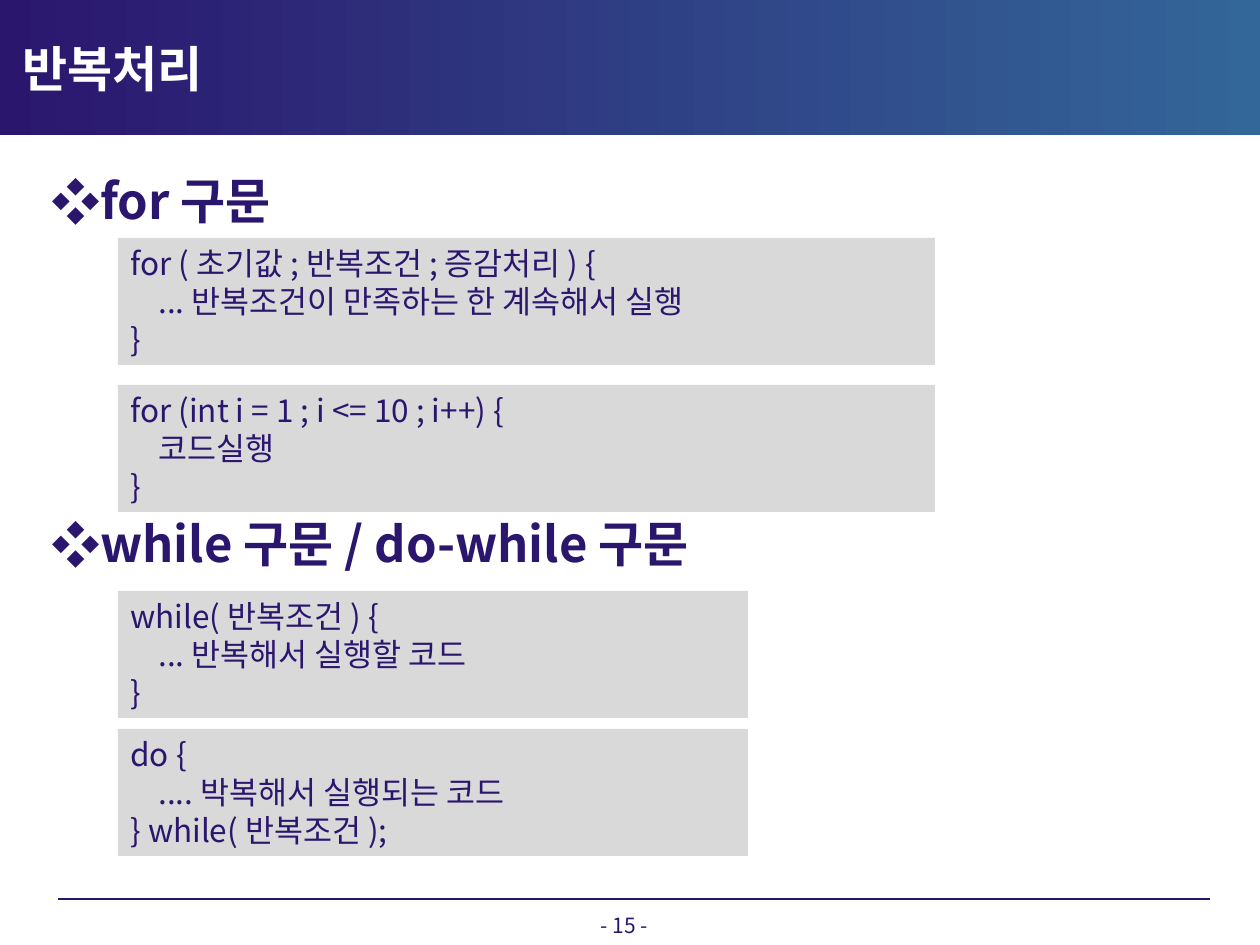
"""Build the slide that explains the loop statements."""
from typing import NamedTuple

from lxml import etree
from pptx import Presentation
from pptx.dml.color import RGBColor
from pptx.enum.shapes import MSO_CONNECTOR, MSO_SHAPE
from pptx.enum.text import MSO_ANCHOR, PP_ALIGN
from pptx.oxml.ns import qn
from pptx.util import Emu, Pt

RECTANGLE = MSO_SHAPE.RECTANGLE
STRAIGHT = MSO_CONNECTOR.STRAIGHT
TOP, MIDDLE = MSO_ANCHOR.TOP, MSO_ANCHOR.MIDDLE
LEFT, CENTER = PP_ALIGN.LEFT, PP_ALIGN.CENTER

PX_PER_INCH = 126
FONT = "Noto Sans CJK KR"
NAVY, BLUE, GRAY, WHITE = "2B166E", "336699", "D9D9D9", "FFFFFF"
BULLET_INDENT = 48
CODE_INDENT = 28
CODE_LEFT, CODE_HEIGHT = 118, 127


class Label(NamedTuple):
    text: str
    left: int
    top: int
    width: int
    height: int
    size: int
    color: str = NAVY
    bold: bool = False
    align: PP_ALIGN = LEFT
    anchor: MSO_ANCHOR = TOP
    bullet: str = ""


class CodeBlock(NamedTuple):
    top: int
    width: int
    opening: str
    body: str
    closing: str = "}"


LABELS = [
    Label("반복처리", 10, 29, 945, 78, 28, WHITE, True, anchor=MIDDLE),
    Label("for 구문", 39, 164, 1172, 72, 28, bold=True, bullet="❖"),
    Label("while 구문 / do-while 구문", 39, 507, 1172, 72, 28, bold=True, bullet="❖"),
    Label("- 15 -", 501, 906, 247, 28, 12, align=CENTER),
]

CODE_BLOCKS = [
    CodeBlock(238, 817, "for ( 초기값 ; 반복조건 ; 증감처리 ) {",
              "... 반복조건이 만족하는 한 계속해서 실행"),
    CodeBlock(385, 817, "for (int i = 1 ; i <= 10 ; i++) {", "코드실행"),
    CodeBlock(591, 630, "while( 반복조건 ) {", "... 반복해서 실행할 코드"),
    CodeBlock(729, 630, "do {", ".... 박복해서 실행되는 코드", "} while( 반복조건 );"),
]


def px(length: int) -> Emu:
    return Emu(round(length * 914400 / PX_PER_INCH))


def rgb(color: str) -> RGBColor:
    return RGBColor.from_string(color)


def style_para(para, size: int, color: str, bold: bool, align: PP_ALIGN) -> None:
    para.alignment = align
    for span in para.runs:
        span.font.size = Pt(size)
        span.font.bold = bold
        span.font.color.rgb = rgb(color)
        span.font.name = FONT
        etree.SubElement(span._r.get_or_add_rPr(), qn("a:ea"), typeface=FONT)


def indent_para(para, margin: int, first_line: int = 0) -> None:
    properties = para._p.get_or_add_pPr()
    properties.set("marL", str(px(margin)))
    properties.set("indent", str(px(first_line)))


def add_bullet(para, bullet: str, color: str) -> None:
    indent_para(para, BULLET_INDENT, -BULLET_INDENT)
    properties = para._p.get_or_add_pPr()
    bullet_color = etree.SubElement(properties, qn("a:buClr"))
    etree.SubElement(bullet_color, qn("a:srgbClr"), val=color)
    etree.SubElement(properties, qn("a:buFont"), typeface=FONT)
    etree.SubElement(properties, qn("a:buChar"), char=bullet)


def add_rectangle(page, left: int, top: int, width: int, height: int):
    box = page.shapes.add_shape(RECTANGLE, px(left), px(top), px(width), px(height))
    box.shadow.inherit = False
    box.line.fill.background()
    return box


def draw_banner(page) -> None:
    banner = add_rectangle(page, 0, 0, 1260, 135)
    banner.fill.gradient()
    banner.fill.gradient_angle = 0
    for stop, color in zip(banner.fill.gradient_stops, (NAVY, BLUE)):
        stop.color.rgb = rgb(color)


def draw_footer_line(page) -> None:
    line = page.shapes.add_connector(STRAIGHT, px(58), px(899), px(1210), px(899))
    line.line.color.rgb = rgb(NAVY)
    line.line.width = Pt(0.75)
    etree.SubElement(line._element.spPr, qn("a:effectLst"))


def draw_label(page, label: Label) -> None:
    box = page.shapes.add_textbox(
        px(label.left), px(label.top), px(label.width), px(label.height))
    frame = box.text_frame
    frame.word_wrap = True
    frame.vertical_anchor = label.anchor
    frame.text = label.text
    para = frame.paragraphs[0]
    style_para(para, label.size, label.color, label.bold, label.align)
    if label.bullet:
        add_bullet(para, label.bullet, label.color)


def draw_code(page, code: CodeBlock) -> None:
    box = add_rectangle(page, CODE_LEFT, code.top, code.width, CODE_HEIGHT)
    box.fill.solid()
    box.fill.fore_color.rgb = rgb(GRAY)
    frame = box.text_frame
    frame.word_wrap = True
    frame.vertical_anchor = TOP
    frame.text = "\n".join((code.opening, code.body, code.closing))
    for para in frame.paragraphs:
        style_para(para, 18, NAVY, False, LEFT)
    indent_para(frame.paragraphs[1], CODE_INDENT)


def main() -> None:
    deck = Presentation()
    deck.slide_width, deck.slide_height = px(1260), px(945)
    page = deck.slides.add_slide(deck.slide_layouts[6])
    draw_footer_line(page)
    draw_banner(page)
    for label in LABELS:
        draw_label(page, label)
    for code in CODE_BLOCKS:
        draw_code(page, code)
    deck.save("out.pptx")


if __name__ == "__main__":
    main()
